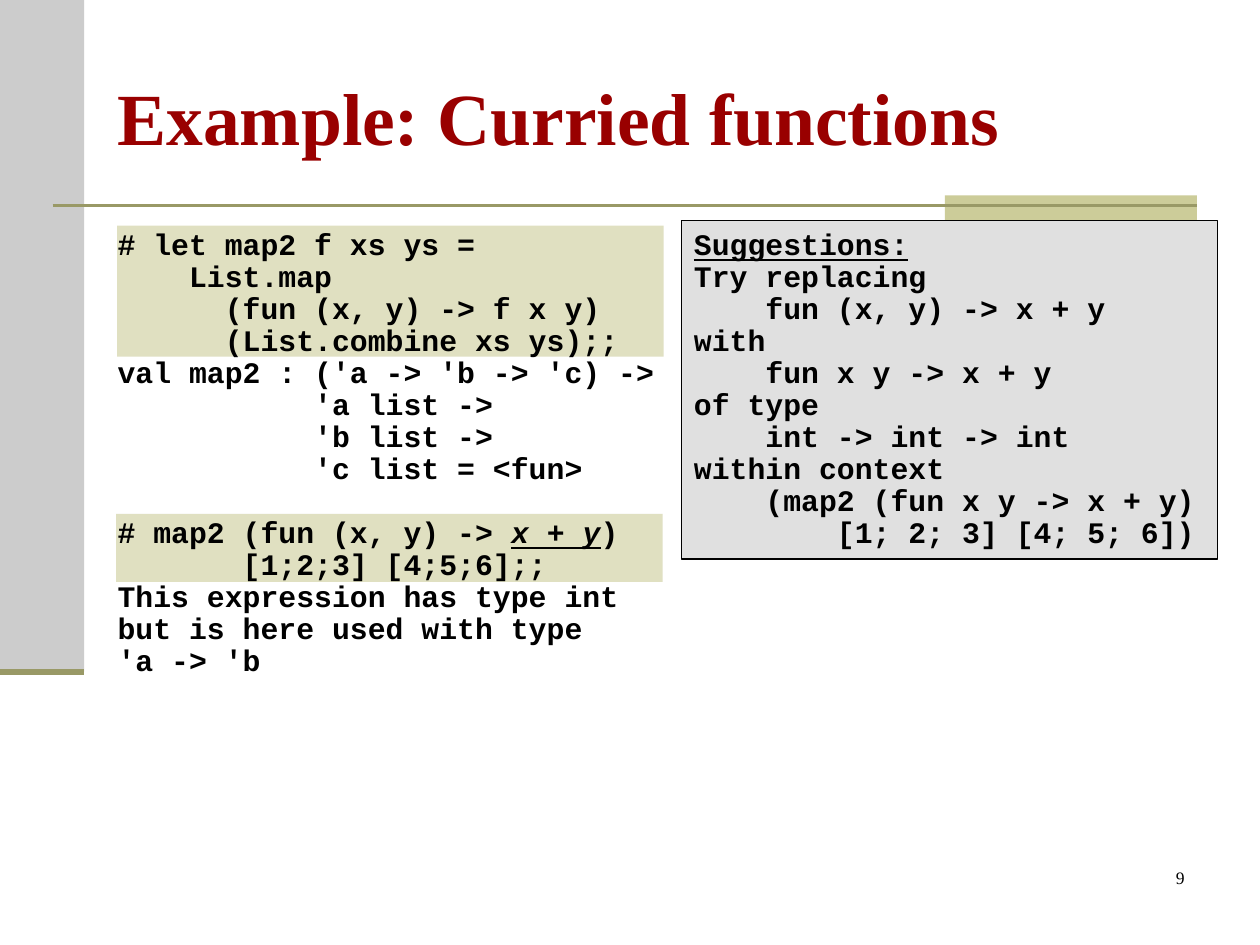
"""Build the slide on curried functions."""
import pptx
import pptx.dml.color
import pptx.enum.shapes
import pptx.enum.text
import pptx.oxml.ns
import pptx.oxml.xmlchemy
import pptx.util

Cm, Pt = pptx.util.Cm, pptx.util.Pt
RGB = pptx.dml.color.RGBColor
ALIGN = pptx.enum.text.PP_ALIGN
ANCHOR = pptx.enum.text.MSO_ANCHOR
RECT = pptx.enum.shapes.MSO_SHAPE.RECTANGLE
STRAIGHT = pptx.enum.shapes.MSO_CONNECTOR.STRAIGHT
new_element = pptx.oxml.xmlchemy.OxmlElement

BLACK = RGB(0x00, 0x00, 0x00)
GREY = RGB(0xCC, 0xCC, 0xCC)
KHAKI = RGB(0xCC, 0xCC, 0x99)
OLIVE = RGB(0x99, 0x99, 0x66)
RED = RGB(0x99, 0x00, 0x00)

TITLE = {"size": Pt(42), "name": "Times New Roman", "bold": True}
CODE = {"size": Pt(17), "name": "Courier New", "bold": True}
NUMBER = {"size": Pt(10), "name": "Times New Roman"}
UNDERLINED = {"underline": True}
EMPHASIS = {"italic": True, "underline": True}
LINE_PITCH = Pt(18.3)
CODE_TOP = Cm(0.18)

SESSION = [
    "# let map2 f xs ys =",
    "    List.map",
    "      (fun (x, y) -> f x y)",
    "      (List.combine xs ys);;",
    "val map2 : ('a -> 'b -> 'c) ->\n           'a list ->\n"
    "           'b list ->\n           'c list = <fun>",
    [("# map2 (fun (x, y) -> ", {}), ("x + y", EMPHASIS),
     (")\n       [1;2;3] [4;5;6];;", {})],
    "This expression has type int\nbut is here used with type\n'a -> 'b",
]
SECOND_INPUT = 5

SUGGESTIONS = [
    [("Suggestions:", UNDERLINED)],
    "Try replacing",
    "    fun (x, y) -> x + y",
    "with",
    "    fun x y -> x + y",
    "of type",
    "    int -> int -> int",
    "within context",
    "    (map2 (fun x y -> x + y)",
    "        [1; 2; 3] [4; 5; 6])",
]

DECORATION = [
    ((0, 0, 1.7, 13.54), GREY, 100),
    ((19.05, 3.94, 5.08, 0.51), KHAKI, 100),
    ((2.34, 10.36, 11.02, 1.37), KHAKI, 60),
    ((2.36, 4.55, 11.02, 2.64), KHAKI, 60),
]
RULES = [((1.06, 4.14, 24.13, 4.14), 1.5), ((0, 13.54, 1.7, 13.54), 3.5)]


def apply(target, values):
    for key, value in values.items():
        setattr(target, key, value)


def add_rect(s, box, color, opacity):
    sp = s.shapes.add_shape(RECT, *map(Cm, box))
    sp.shadow.inherit = False
    sp.line.fill.background()
    sp.fill.solid()
    sp.fill.fore_color.rgb = color
    if opacity < 100:
        fill = sp._element.spPr.find(pptx.oxml.ns.qn("a:solidFill"))
        alpha = new_element("a:alpha")
        alpha.set("val", str(opacity * 1000))
        fill[0].append(alpha)
    return sp


def add_rule(s, ends, width):
    cx = s.shapes.add_connector(STRAIGHT, *map(Cm, ends))
    cx.line.color.rgb = OLIVE
    cx.line.width = Pt(width)
    cx._element.spPr.append(new_element("a:effectLst"))


def add_text(s, box):
    return s.shapes.add_textbox(*map(Cm, box))


def write(sp, paragraphs, font, color=BLACK, frame=None, layout=None):
    tf = sp.text_frame
    apply(tf, {"word_wrap": True, "vertical_anchor": ANCHOR.TOP, **(frame or {})})
    for i, content in enumerate(paragraphs):
        p = tf.paragraphs[0] if i == 0 else tf.add_paragraph()
        apply(p, {"alignment": ALIGN.LEFT, **(layout or {})})
        pieces = [(content, {})] if isinstance(content, str) else content
        for text, extra in pieces:
            for n, line in enumerate(text.split("\n")):
                if n:
                    p.add_line_break()
                r = p.add_run()
                r.text = line
                apply(r.font, {**font, **extra})
                r.font.color.rgb = color


def main():
    prs = pptx.Presentation()
    prs.slide_width, prs.slide_height = Cm(25.4), Cm(19.05)
    s = prs.slides.add_slide(prs.slide_layouts[6])
    for box, color, opacity in DECORATION:
        add_rect(s, box, color, opacity)
    for ends, width in RULES:
        add_rule(s, ends, width)

    write(add_text(s, (2.12, 0.76, 22.01, 3.18)), ["Example: Curried functions"],
          TITLE, RED, {"vertical_anchor": ANCHOR.MIDDLE})

    code_frame = {"margin_top": CODE_TOP}
    code_layout = {"line_spacing": LINE_PITCH}
    session = add_text(s, (2.12, 4.44, 11.43, 12.57))
    write(session, SESSION, CODE, frame=code_frame, layout=code_layout)
    session.text_frame.paragraphs[SECOND_INPUT].space_before = LINE_PITCH

    panel = add_rect(s, (13.74, 4.44, 10.8, 6.83), GREY, 60)
    panel.line.color.rgb = BLACK
    panel.line.width = Pt(0.75)
    write(panel, SUGGESTIONS, CODE, frame=code_frame, layout=code_layout)

    write(add_text(s, (18.84, 17.35, 5.29, 1.27)), ["9"], NUMBER,
          layout={"alignment": ALIGN.RIGHT})
    prs.save("out.pptx")


if __name__ == "__main__":
    main()
